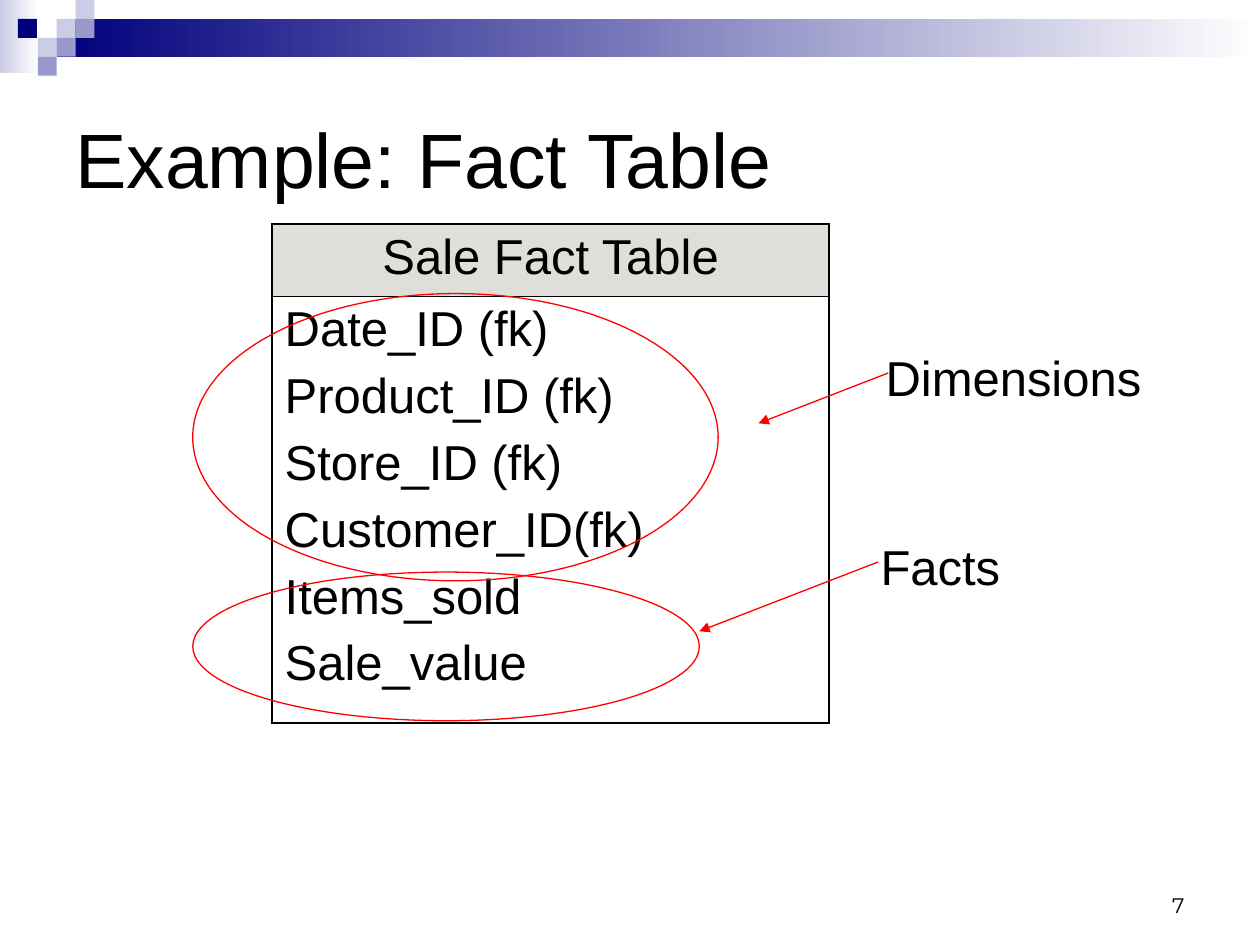
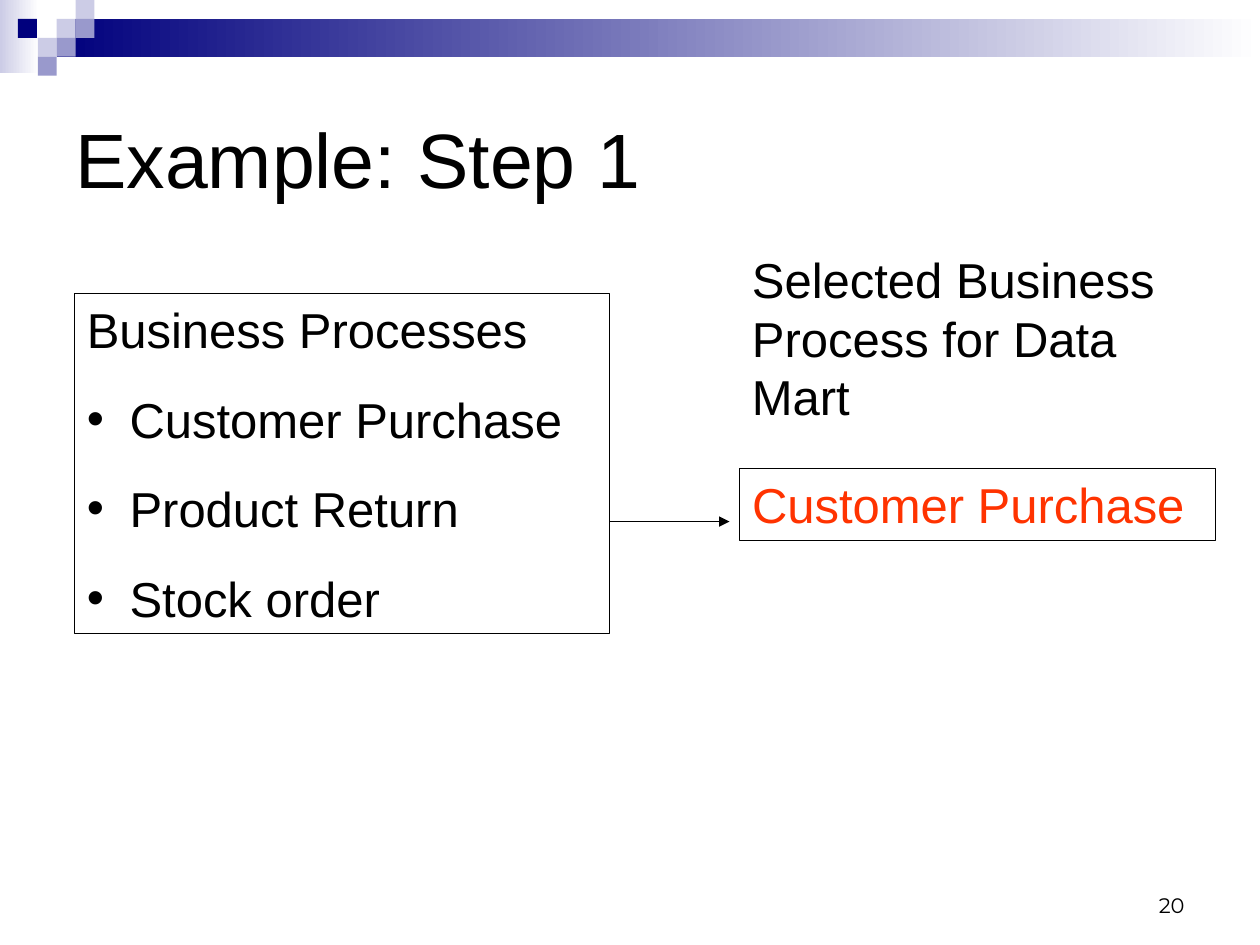
"""Build two slides on a fact table and on choosing a business process."""
from dataclasses import dataclass

from lxml.etree import SubElement as Sub
from pptx import Presentation
from pptx.dml.color import RGBColor as RGB
from pptx.enum.shapes import MSO_CONNECTOR as LINK, MSO_SHAPE as FORM
from pptx.enum.text import MSO_ANCHOR as ANCHOR, PP_ALIGN as ALIGN
from pptx.oxml.ns import qn
from pptx.util import Inches, Pt


@dataclass(frozen=True)
class Theme:
    ink: str = "000000"
    navy: str = "00007D"
    mid: str = "9999CC"
    pale: str = "CCCCE6"
    white: str = "FFFFFF"
    head: str = "DFDED9"
    mark: str = "FF0000"
    pick: str = "FF3300"
    font: str = "Arial"
    foot: str = "Montserrat"
    title: float = 44
    body: float = 28
    small: float = 12
    thin: float = 0.75
    edge: float = 1.08
    rule: float = 0.45
    loose: float = 17.5
    tight: float = 7


T = Theme()
TILE = 0.15


def color(hue):
    return RGB.from_string(hue)


def box(at):
    return [Inches(n) for n in at]


def bullet(para):
    props = para._p.get_or_add_pPr()
    props.set("marL", str(Inches(0.34)))
    props.set("indent", str(-Inches(0.34)))
    Sub(props, qn("a:buFont"), typeface=T.font)
    Sub(props, qn("a:buChar"), char="•")


def write(frame, lines, size=T.body, hue=T.ink, font=T.font,
          align=ALIGN.LEFT, gap=T.loose, dots=False):
    for i, line in enumerate(lines):
        para = frame.add_paragraph() if i else frame.paragraphs[0]
        para.alignment = align
        if i:
            para.space_before = Pt(gap)
            if dots:
                bullet(para)
        run = para.add_run()
        run.text = line
        run.font.name, run.font.size = font, Pt(size)
        run.font.color.rgb = color(hue)


def label(slide, at, lines, anchor=ANCHOR.TOP, **style):
    frame = slide.shapes.add_textbox(*box(at)).text_frame
    frame.word_wrap = True
    frame.vertical_anchor = anchor
    write(frame, lines, **style)


def shape(slide, form, at, line=None):
    item = slide.shapes.add_shape(form, *box(at))
    item.shadow.inherit = False
    item.fill.background()
    if line:
        item.line.color.rgb = color(line)
        item.line.width = Pt(T.thin)
    else:
        item.line.fill.background()
    return item


def panel(slide, at, lines, **style):
    frame = shape(slide, FORM.RECTANGLE, at, T.ink).text_frame
    frame.word_wrap = True
    frame.vertical_anchor = ANCHOR.TOP
    write(frame, lines, **style)


def fade(slide, at, hue):
    fill = shape(slide, FORM.RECTANGLE, at).fill
    fill.gradient()
    fill.gradient_angle = 0
    for stop, tone, pos in zip(fill.gradient_stops, (hue, T.white), (0, 1)):
        stop.color.rgb = color(tone)
        stop.position = pos


def arrow(slide, start, end, hue):
    link = slide.shapes.add_connector(LINK.STRAIGHT, *box(start + end))
    link.line.color.rgb = color(hue)
    link.line.width = Pt(T.thin)
    Sub(link.line._get_or_add_ln(), qn("a:tailEnd"), type="triangle")
    Sub(link._element.spPr, qn("a:effectLst"))


def border(cell, **sides):
    props = cell._tc.get_or_add_tcPr()
    for side, width in sides.items():
        line = Sub(props, qn(f"a:ln{side}"), w=str(Pt(width)))
        Sub(Sub(line, qn("a:solidFill")), qn("a:srgbClr"), val=T.ink)


def table(slide, at, rows, head, lines):
    grid = slide.shapes.add_table(len(rows), 1, *box(at)).table
    grid.first_row = grid.horz_banding = False
    for row, high in zip(grid.rows, rows):
        row.height = Inches(high)
    top, body = grid.cell(0, 0), grid.cell(1, 0)
    border(top, L=T.edge, R=T.edge, T=T.edge, B=T.rule)
    border(body, L=T.edge, R=T.edge, T=T.rule, B=T.edge)
    top.fill.solid()
    top.fill.fore_color.rgb = color(T.head)
    body.fill.background()
    write(top.text_frame, [head], align=ALIGN.CENTER)
    write(body.text_frame, lines, gap=T.tight)


def base(deck, title, page):
    slide = deck.slides.add_slide(deck.slide_layouts[6])
    fade(slide, (0, 0, 0.31, 0.58), T.pale)
    fade(slide, (0.45, 0.15, 9.55, 0.3), T.navy)
    tiles = ((3, 1, T.pale), (4, 0, T.pale), (4, 1, T.mid), (2, 2, T.pale),
             (0.95, 1, T.navy), (3, 2, T.mid), (2, 3, T.mid))
    for col, row, hue in tiles:
        tile = shape(slide, FORM.RECTANGLE,
                     (col * TILE, row * TILE, TILE, TILE))
        tile.fill.solid()
        tile.fill.fore_color.rgb = color(hue)
    label(slide, (7.17, 6.83, 2.33, 0.5), [page], ANCHOR.BOTTOM,
          size=T.small, font=T.foot, align=ALIGN.RIGHT)
    label(slide, (0.5, 0.5, 9, 1.5), [title], ANCHOR.MIDDLE, size=T.title)
    return slide


def facts(deck):
    slide = base(deck, "Example: Fact Table", "7")
    table(slide, (2.16, 1.78, 4.42, 3.96), (0.57, 3.39), "Sale Fact Table",
          ["Date_ID (fk)", "Product_ID (fk)", "Store_ID (fk)",
           "Customer_ID(fk)", "Items_sold", "Sale_value"])
    notes = (
        ("Facts", (6.89, 4.21, 1.73, 0.57), (1.53, 4.54, 4.02, 1.18),
         (6.97, 4.46), (5.55, 5.01)),
        ("Dimensions", (6.93, 2.71, 2.32, 0.57), (1.53, 2.33, 4.17, 2.28),
         (7.05, 2.96), (6.02, 3.36)))
    for name, at, ring, start, end in notes:
        shape(slide, FORM.OVAL, ring, T.mark)
        arrow(slide, start, end, T.mark)
        label(slide, at, [name])


def step(deck):
    slide = base(deck, "Example: Step 1", "20")
    panel(slide, (0.59, 2.33, 4.25, 2.7),
          ["Business Processes", "Customer Purchase", "Product Return",
           "Stock order"], dots=True)
    arrow(slide, (4.84, 4.14), (5.79, 4.14), T.ink)
    panel(slide, (5.87, 3.72, 3.78, 0.57), ["Customer Purchase"], hue=T.pick)
    label(slide, (5.87, 1.93, 3.7, 1.5),
          ["Selected Business Process for Data Mart"])


def main():
    deck = Presentation()
    deck.slide_width, deck.slide_height = Inches(10), Inches(7.5)
    facts(deck)
    step(deck)
    deck.save("out.pptx")


if __name__ == "__main__":
    main()
